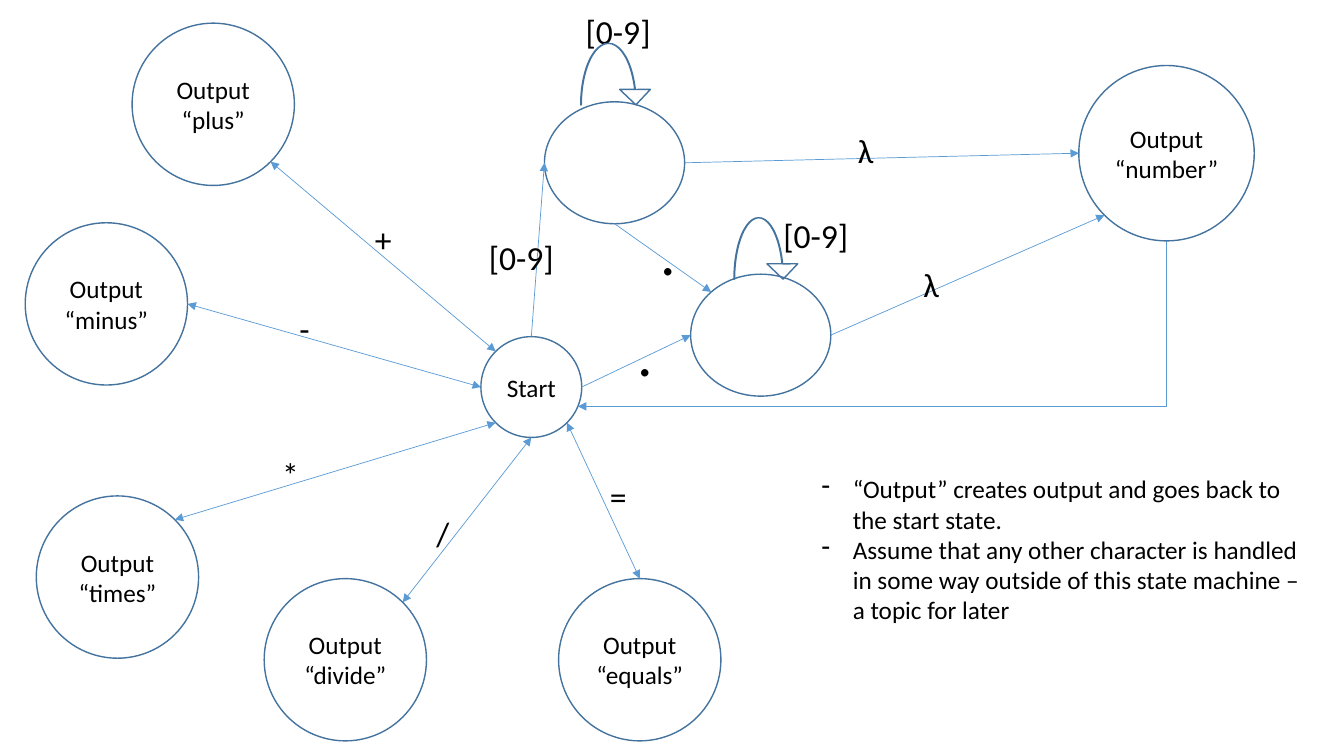
from math import cos, radians, sin

from lxml.etree import SubElement
from pptx import Presentation
from pptx.dml.color import RGBColor
from pptx.enum.shapes import MSO_CONNECTOR as Link, MSO_SHAPE as Shape
from pptx.enum.text import MSO_ANCHOR as Anchor, MSO_AUTO_SIZE as AutoSize, PP_ALIGN as Align
from pptx.oxml.ns import qn
from pptx.util import Inches, Pt

# Angles of the connection points on a state, clockwise from the right
RIGHT, LOWER_RIGHT, BOTTOM, LOWER_LEFT = 0, 45, 90, 135
LEFT, UPPER_LEFT, TOP = 180, 225, 270
RETURN_ANGLE = 22.5

STATES = {  # name: (left, top, width, height, text)
    "minus": (0.25, 2.21, 1.61, 1.61, "Output\n“minus”"),
    "divide": (2.62, 5.74, 1.61, 1.61, "Output\n“divide”"),
    "equals": (5.54, 5.74, 1.61, 1.61, "Output\n“equals”"),
    "start": (4.77, 3.34, 1, 1, "Start"),
    "plus": (1.31, 0.23, 1.61, 1.61, "Output\n“plus”"),
    "times": (0.36, 4.92, 1.61, 1.61, "Output\n“times”"),
    "integer": (5.4, 1.01, 1.39, 1.21, ""),
    "decimal": (6.85, 2.72, 1.39, 1.21, ""),
    "number": (10.7, 0.65, 1.74, 1.74, "Output\n“number”"),
}
TRANSITIONS = [  # from state, angle, to state, angle, goes both ways
    ("start", UPPER_LEFT, "plus", LOWER_RIGHT, True),
    ("start", LEFT, "minus", RIGHT, True),
    ("start", LOWER_LEFT, "times", -45, True),
    ("start", BOTTOM, "divide", -45, True),
    ("start", LOWER_RIGHT, "equals", TOP, True),
    ("start", TOP, "integer", LEFT, False),
    ("start", RIGHT, "decimal", LEFT, False),
    ("integer", BOTTOM, "decimal", UPPER_LEFT, False),
    ("integer", RIGHT, "number", LEFT, False),
    ("decimal", RIGHT, "number", LOWER_LEFT, False),
]
SYMBOLS = [  # text, left, top, width
    ("+", 3.62, 2.12, 0.37),
    ("-", 2.87, 3.01, 0.31),
    ("*", 2.7, 4.45, 0.37),
    ("/", 4.23, 5.04, 0.33),
    ("=", 5.95, 4.67, 0.3),
    ("[0-9]", 5.71, 0.06, 0.85),
    ("[0-9]", 4.75, 2.3, 0.85),
    ("[0-9]", 7.67, 2.08, 0.85),
    ("λ", 9.06, 2.57, 0.3),
    ("λ", 8.41, 1.24, 0.3),
]
DOTS = [(6.45, 2.07, 0.3), (6.22, 3.08, 0.36)]
LOOPS = [(5.76, 0.43, 0.7, 0.61), (7.28, 2.16, 0.64, 0.61)]
NOTES = [
    "“Output” creates output and goes back to the start state.",
    "Assume that any other character is handled in some way outside of this "
    "state machine – a topic for later",
]


def color(hex_string):
    return RGBColor.from_string(hex_string)


def write(paragraph, text, size=18, align=Align.LEFT, bullet=None):
    paragraph.text = text
    paragraph.alignment = align
    for run in paragraph.runs:
        run.font.name = Diagram.FONT
        run.font.size = Pt(size)
        run.font.color.rgb = color(Diagram.TEXT)
    if bullet:
        properties = paragraph._p.get_or_add_pPr()
        properties.set("marL", str(Inches(0.31)))
        properties.set("indent", str(-Inches(0.31)))
        SubElement(properties, qn("a:buChar"), char=bullet)


def edge_point(state, angle):
    """Point on the outline of a state, in inches."""
    left, top, width, height, _ = STATES[state]
    return (left + width / 2 * (1 + cos(radians(angle))),
            top + height / 2 * (1 + sin(radians(angle))))


class Diagram:
    FONT, TEXT = "Calibri", "000000"
    OUTLINE, ARROW = "43739E", "5B9BD5"

    def __init__(self, slide):
        self.shapes = slide.shapes

    def outline(self, kind, left, top, width, height):
        shape = self.shapes.add_shape(
            kind, Inches(left), Inches(top), Inches(width), Inches(height))
        shape.shadow.inherit = False
        shape.fill.background()
        shape.line.color.rgb = color(self.OUTLINE)
        shape.line.width = Pt(1)
        return shape

    def state(self, left, top, width, height, text):
        circle = self.outline(Shape.OVAL, left, top, width, height)
        if text:
            circle.text_frame.vertical_anchor = Anchor.MIDDLE
            write(circle.text_frame.paragraphs[0], text, align=Align.CENTER)

    def loop(self, *box):
        arrow = self.outline(Shape.CURVED_DOWN_ARROW, *box)
        arrow.adjustments[0] = 0.01

    def arrow(self, start, end, both_ways=False, kind=Link.STRAIGHT):
        link = self.shapes.add_connector(kind, *map(Inches, (*start, *end)))
        link.line.color.rgb = color(self.ARROW)
        link.line.width = Pt(0.5)
        line = link.line._ln
        if both_ways:
            SubElement(line, qn("a:headEnd"), type="triangle")
        SubElement(line, qn("a:tailEnd"), type="triangle")
        SubElement(link._element.spPr, qn("a:effectLst"))
        return link

    def corner_arrow(self, start, end):
        """Arrow that goes down from start, then left to end."""
        (right, top), (left, bottom) = start, end
        across, down = right - left, bottom - top
        # The preset goes right, then down: lay it out upright and turn it by 90°
        x = (left + right - down) / 2
        y = (top + bottom - across) / 2
        link = self.arrow((x, y), (x + down, y + across), kind=Link.ELBOW)
        properties = link._element.spPr
        properties.find(qn("a:xfrm")).set("rot", str(90 * 60000))
        properties.find(qn("a:prstGeom")).set("prst", "bentConnector2")

    def label(self, paragraphs, left, top, width, height, wrap=False, **style):
        box = self.shapes.add_textbox(
            Inches(left), Inches(top), Inches(width), Inches(height))
        frame = box.text_frame
        frame.word_wrap = wrap
        frame.auto_size = AutoSize.SHAPE_TO_FIT_TEXT
        for index, text in enumerate(paragraphs):
            paragraph = frame.add_paragraph() if index else frame.paragraphs[0]
            write(paragraph, text, **style)


def main():
    presentation = Presentation()
    presentation.slide_width = Inches(13.33)
    presentation.slide_height = Inches(7.5)
    diagram = Diagram(presentation.slides.add_slide(presentation.slide_layouts[6]))

    diagram.label(NOTES, 8.05, 4.65, 5.07, 1.62, wrap=True, bullet="-")
    for state in STATES.values():
        diagram.state(*state)
    for source, source_angle, target, target_angle, both_ways in TRANSITIONS:
        diagram.arrow(edge_point(source, source_angle),
                      edge_point(target, target_angle), both_ways)
    for text, left, top, width in SYMBOLS:
        diagram.label([text], left, top, width, 0.5, wrap=width == 0.3, size=24)
    for left, top, width in DOTS:
        diagram.label(["."], left, top, width, 0.84, wrap=width == 0.3, size=44)
    for loop in LOOPS:
        diagram.loop(*loop)
    diagram.corner_arrow(edge_point("number", BOTTOM),
                         edge_point("start", RETURN_ANGLE))

    presentation.save("out.pptx")


if __name__ == "__main__":
    main()
